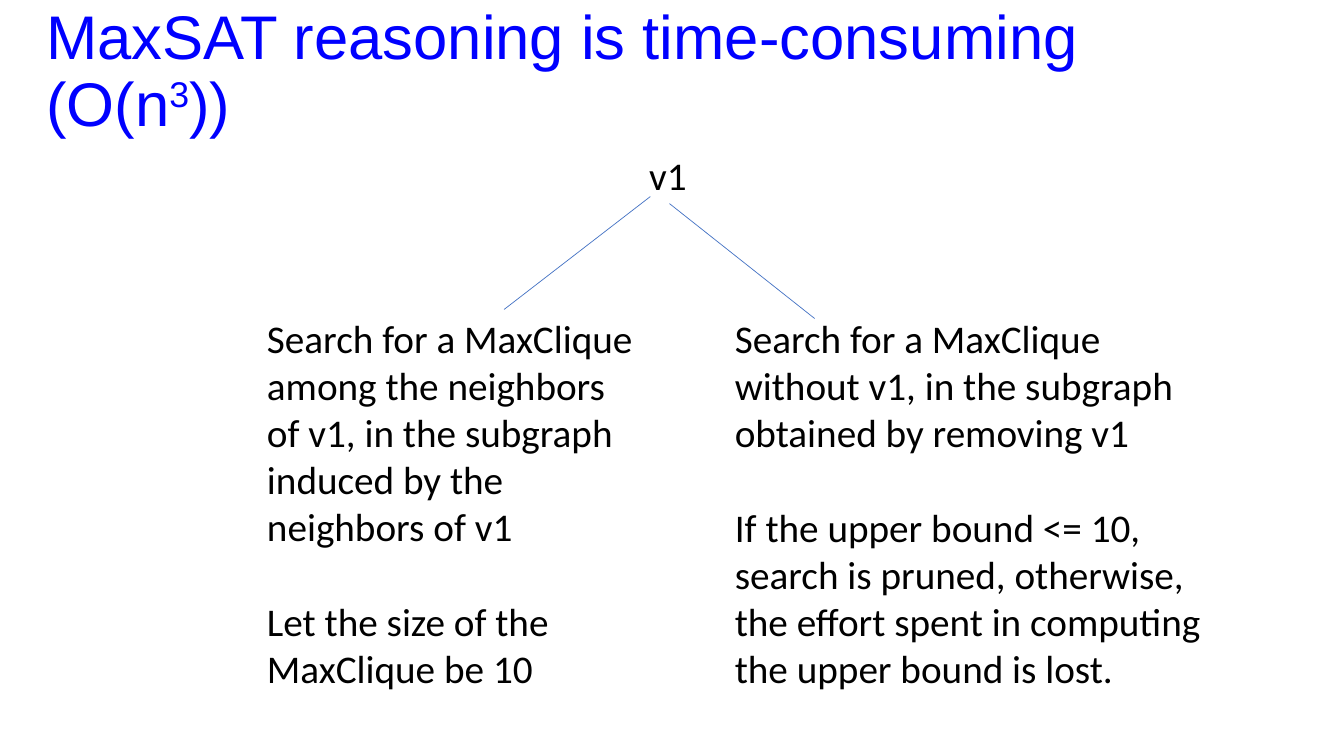
from dataclasses import dataclass

from pptx import Presentation
from pptx.dml.color import RGBColor
from pptx.enum.shapes import MSO_CONNECTOR
from pptx.enum.text import MSO_ANCHOR
from pptx.oxml.ns import qn
from pptx.util import Inches, Pt
from lxml import etree

STRAIGHT = MSO_CONNECTOR.STRAIGHT
TOP, MIDDLE = MSO_ANCHOR.TOP, MSO_ANCHOR.MIDDLE


@dataclass(frozen=True)
class Theme:
    """Colours, fonts and type sizes of the slide."""
    title_color: RGBColor = RGBColor(0x00, 0x00, 0xFF)
    text_color: RGBColor = RGBColor(0x00, 0x00, 0x00)
    branch_color: RGBColor = RGBColor(0x44, 0x72, 0xC4)
    title_font: str = "Arial"
    text_font: str = "Calibri"
    title_size: Pt = Pt(44)
    text_size: Pt = Pt(28)
    paragraph_gap: Pt = Pt(34)
    branch_width: Pt = Pt(0.5)


THEME = Theme()


def add_box(page, left, top, width, height, anchor=TOP):
    """Add a wrapping text box and return its text frame."""
    box = page.shapes.add_textbox(
        Inches(left), Inches(top), Inches(width), Inches(height))
    frame = box.text_frame
    frame.word_wrap = True
    frame.vertical_anchor = anchor
    return frame


def set_font(para, name, size, color):
    """Set the font of a whole paragraph."""
    para.font.name = name
    para.font.size = size
    para.font.color.rgb = color


def add_title(page, before, exponent, after):
    """Add the title, with a raised exponent between two parts."""
    frame = add_box(page, 0.36, 0, 11.5, 1.45, MIDDLE)
    para = frame.paragraphs[0]
    para.line_spacing = 0.9
    set_font(para, THEME.title_font, THEME.title_size, THEME.title_color)
    for text in (before, exponent, after):
        span = para.add_run()
        span.text = text
        if text == exponent:
            span.font._element.set("baseline", "30000")


def add_node(page, left, top, width, height, texts):
    """Add a tree node with one paragraph per text."""
    frame = add_box(page, left, top, width, height)
    for index, text in enumerate(texts):
        para = frame.add_paragraph() if index else frame.paragraphs[0]
        para.text = text
        set_font(para, THEME.text_font, THEME.text_size, THEME.text_color)
        if index:
            para.space_before = THEME.paragraph_gap


def add_branch(page, start, end):
    """Add a thin line between two (x, y) points."""
    points = [Inches(value) for value in (*start, *end)]
    branch = page.shapes.add_connector(STRAIGHT, *points)
    branch.line.color.rgb = THEME.branch_color
    branch.line.width = THEME.branch_width
    etree.SubElement(branch._element.spPr, qn("a:effectLst"))


def main():
    """Build the slide and save it."""
    deck = Presentation()
    deck.slide_width, deck.slide_height = Inches(13.33), Inches(7.5)
    page = deck.slides.add_slide(deck.slide_layouts[6])

    add_title(page, "MaxSAT reasoning is time-consuming (O(n", "3", "))")
    add_branch(page, (6.45, 1.95), (5, 3.07))
    add_branch(page, (6.64, 2.02), (8.08, 3.16))
    add_node(page, 6.34, 1.45, 0.59, 0.57, ["v1"])
    add_node(page, 2.55, 3.07, 3.9, 3.87, [
        "Search for a MaxClique among the neighbors of v1, "
        "in the subgraph induced by the neighbors of v1",
        "Let the size of the MaxClique be 10",
    ])
    add_node(page, 7.19, 3.07, 5, 3.87, [
        "Search for a MaxClique without v1, "
        "in the subgraph obtained by removing v1",
        "If the upper bound <= 10, search is pruned, otherwise, "
        "the effort spent in computing the upper bound is lost.",
    ])
    deck.save("out.pptx")


main()
